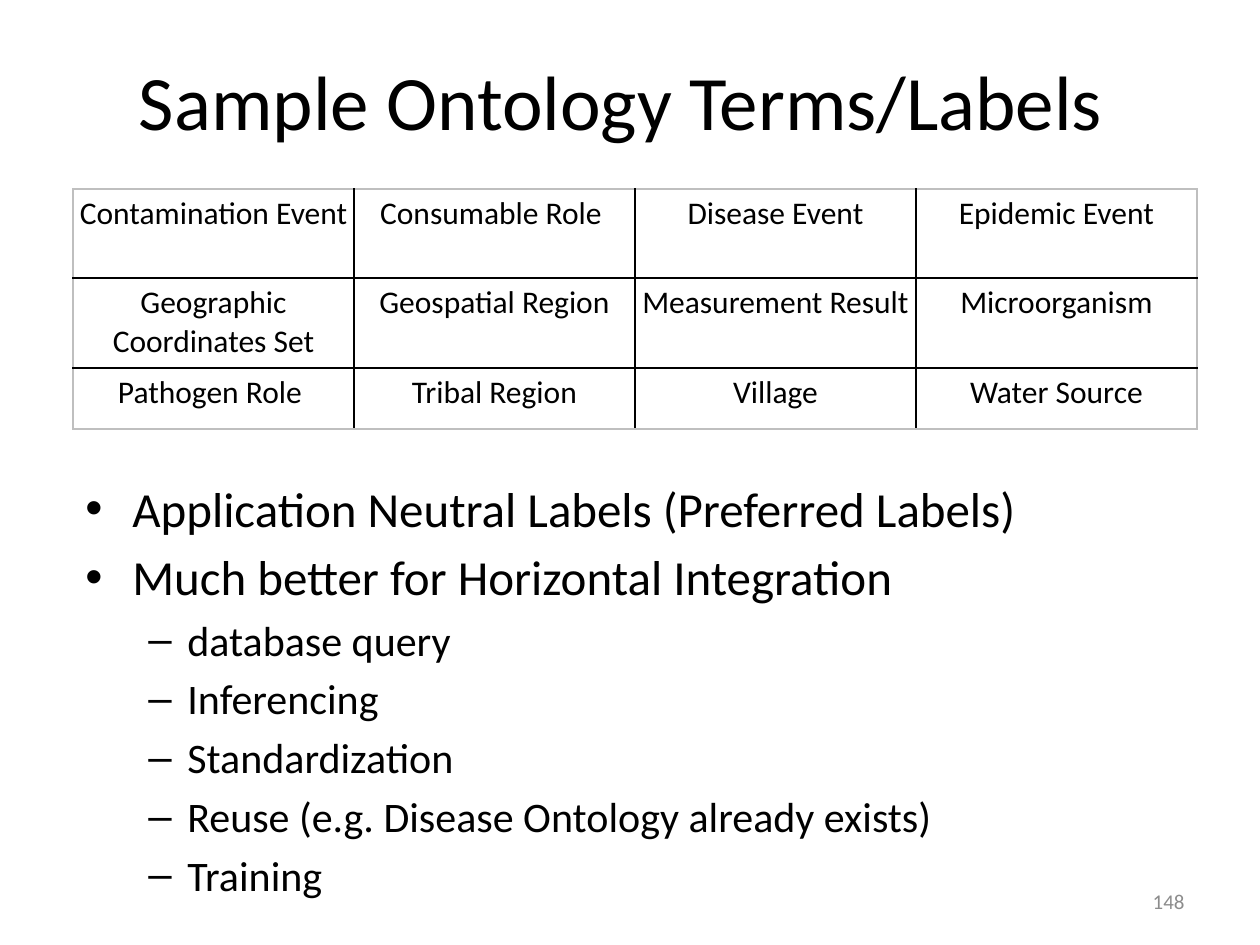
from lxml import etree
from pptx import Presentation
from pptx import util as u
from pptx.dml.color import RGBColor
from pptx.enum import text
from pptx.oxml.ns import qn

# Content
TITLE = "Sample Ontology Terms/Labels "
TERMS = [
    ["Contamination Event", "Consumable Role ", "Disease Event", "Epidemic Event"],
    ["Geographic\nCoordinates Set", "Geospatial Region", "Measurement Result", "Microorganism"],
    ["Pathogen Role ", "Tribal Region", "Village", "Water Source"],
]
BULLETS = [
    (0, "Application Neutral Labels (Preferred Labels)"),
    (0, "Much better for Horizontal Integration"),
    (1, "database query"),
    (1, "Inferencing"),
    (1, "Standardization"),
    (1, "Reuse (e.g. Disease Ontology already exists)"),
    (1, "Training"),
]
PAGE = "148"

# Layout in px, 126 to the inch
TITLE_BOX = (63, 21, 1134, 158)
TABLE_AT = (73, 189)
COL_W, ROW_H = 281, (89, 90, 61)
BODY_BOX = (73, 472, 1081, 441)
PAGE_BOX = (903, 876, 294, 50)
CELL_INSET = 6
# Per level: bullet, size, left margin, hanging indent
LEVELS = [("•", 28, 47, 47), ("–", 24, 102, 39)]

FONT = "Calibri"
BLACK = RGBColor(0x00, 0x00, 0x00)
GRAY = RGBColor(0x8C, 0x8C, 0x8C)
FRAME = RGBColor(0xBF, 0xBF, 0xBF)
ALIGN = text.PP_ALIGN
ANCHOR = text.MSO_ANCHOR


def px(n):
    return u.Emu(round(n * 914400 / 126))


def add_run(p, words, size, color=BLACK):
    r = p.add_run()
    r.text = words
    r.font.name, r.font.size = FONT, u.Pt(size)
    r.font.color.rgb = color


def add_box(s, box, anchor):
    tf = s.shapes.add_textbox(*map(px, box)).text_frame
    tf.word_wrap = True
    tf.vertical_anchor = anchor
    return tf


def add_line(s, box, words, size, align, color=BLACK):
    p = add_box(s, box, ANCHOR.MIDDLE).paragraphs[0]
    p.alignment = align
    add_run(p, words, size, color)


def set_borders(cell, colors):
    tcPr = cell._tc.get_or_add_tcPr()
    for i, (side, color) in enumerate(colors.items()):
        ln = etree.Element(qn(f"a:{side}"), w=str(u.Pt(1)))
        fill = etree.SubElement(ln, qn("a:solidFill"))
        etree.SubElement(fill, qn("a:srgbClr"), val=str(color))
        tcPr.insert(i, ln)


def set_bullet(p, level):
    char, size, margin, hang = LEVELS[level]
    p.level = level
    pPr = p._p.get_or_add_pPr()
    pPr.set("marL", str(px(margin)))
    pPr.set("indent", str(-px(hang)))
    etree.SubElement(pPr, qn("a:buFont"), typeface="Arial")
    etree.SubElement(pPr, qn("a:buChar"), char=char)
    return size


prs = Presentation()
prs.slide_width, prs.slide_height = u.Inches(10), u.Inches(7.5)
s = prs.slides.add_slide(prs.slide_layouts[6])

# Title
add_line(s, TITLE_BOX, TITLE, 44, ALIGN.CENTER)

# Table of terms
rows, cols = len(TERMS), len(TERMS[0])
size = (cols * COL_W, sum(ROW_H))
table = s.shapes.add_table(rows, cols, *map(px, TABLE_AT + size)).table
table.first_row = table.horz_banding = False
for col in table.columns:
    col.width = px(COL_W)
for row, height in zip(table.rows, ROW_H):
    row.height = px(height)
for i, labels in enumerate(TERMS):
    for j, label in enumerate(labels):
        cell = table.cell(i, j)
        cell.fill.background()
        cell.margin_left = cell.margin_right = px(CELL_INSET)
        cell.margin_top = cell.margin_bottom = px(CELL_INSET)
        set_borders(cell, {
            "lnL": BLACK if j else FRAME,
            "lnR": BLACK if j < cols - 1 else FRAME,
            "lnT": BLACK if i else FRAME,
            "lnB": BLACK if i < rows - 1 else FRAME,
        })
        tf = cell.text_frame
        for k, words in enumerate(label.split("\n")):
            p = tf.add_paragraph() if k else tf.paragraphs[0]
            p.alignment = ALIGN.CENTER
            add_run(p, words, 18)

# Bulleted list
tf = add_box(s, BODY_BOX, ANCHOR.TOP)
for i, (level, words) in enumerate(BULLETS):
    p = tf.add_paragraph() if i else tf.paragraphs[0]
    size = set_bullet(p, level)
    if i:
        p.space_before = u.Pt(size * 0.2)
    add_run(p, words, size)

# Page number
add_line(s, PAGE_BOX, PAGE, 12, ALIGN.RIGHT, GRAY)

prs.save("out.pptx")
